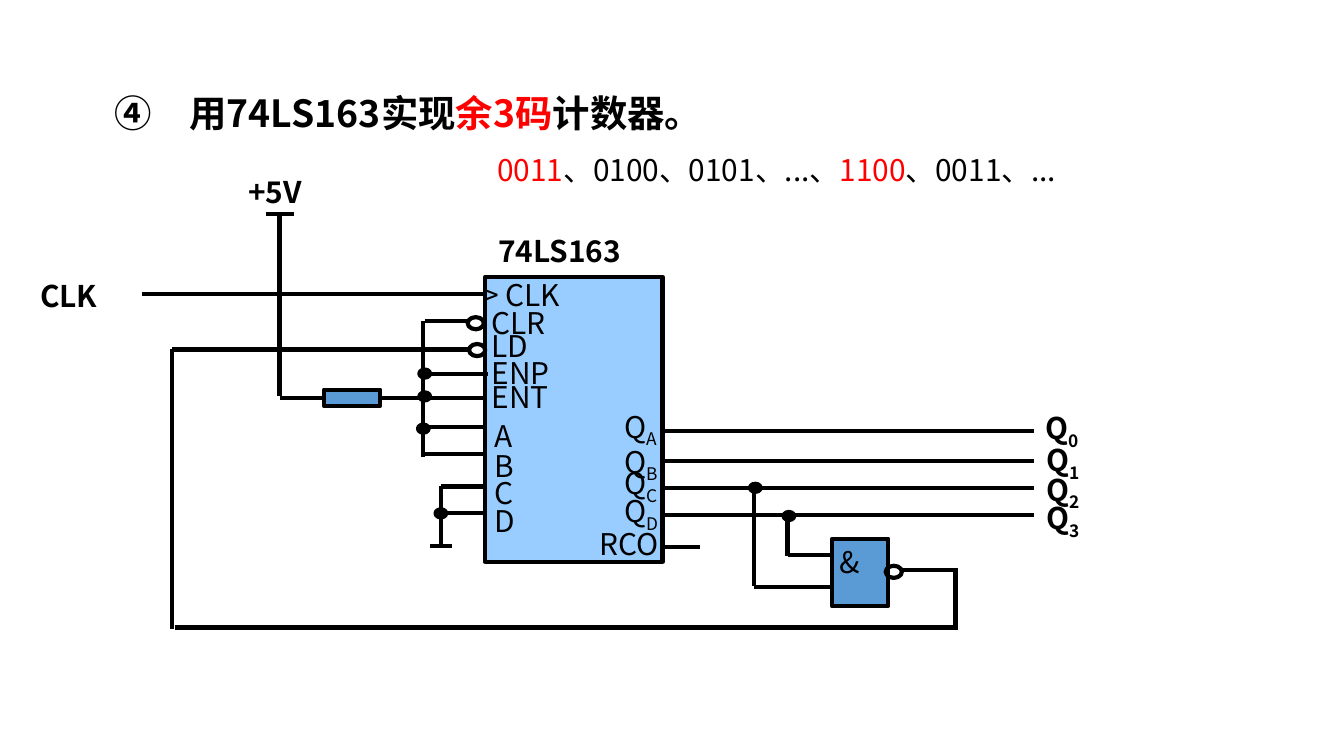
from lxml import etree
from pptx import Presentation
from pptx import util as u
from pptx.dml import color
from pptx.enum import shapes, text
from pptx.oxml import ns

SCALE = 9144
JP, SC = "Noto Sans CJK JP", "Noto Sans CJK SC"
BLACK, RED, BLUE, SKY = "000000", "FF0000", "5B9BD5", "99CCFF"
RECT, OVAL = shapes.MSO_SHAPE.RECTANGLE, shapes.MSO_SHAPE.OVAL


def px(*nums):
    return [u.Emu(n * SCALE) for n in nums]


def hue(code):
    return color.RGBColor.from_string(code)


def node(base, tag, **attrs):
    return etree.SubElement(base, ns.qn(tag), attrs)


def write(frame, *parts, size=16, face=SC, bold=False, sub=""):
    frame.word_wrap = True
    frame.vertical_anchor = text.MSO_ANCHOR.TOP
    para = frame.paragraphs[0]
    para.alignment = text.PP_ALIGN.LEFT
    for words, tone in parts + (((sub, BLACK),) if sub else ()):
        run = para.add_run()
        run.text = words
        run.font.size, run.font.name, run.font.bold = u.Pt(size), face, bold
        run.font.color.rgb = hue(tone)
        props = run._r.get_or_add_rPr()
        node(props, "a:ea", typeface=face)
        if sub and words == sub:
            props.set("baseline", "-25000")
    return para


def label(slide, x, y, wide, *parts, **fmt):
    box = slide.shapes.add_textbox(*px(x, y, wide, 37))
    box.text_frame.auto_size = text.MSO_AUTO_SIZE.SHAPE_TO_FIT_TEXT
    write(box.text_frame, *parts, **fmt)


def block(slide, kind, x, y, wide, high, fill=None):
    item = slide.shapes.add_shape(kind, *px(x, y, wide, high))
    item.shadow.inherit = False
    if fill:
        item.fill.solid()
        item.fill.fore_color.rgb = hue(fill)
    else:
        item.fill.background()
    item.line.color.rgb = hue(BLACK)
    item.line.width = u.Pt(2.25)
    return item


def wire(slide, *ends):
    line = slide.shapes.add_connector(shapes.MSO_CONNECTOR.STRAIGHT, *px(*ends))
    line.line.color.rgb = hue(BLACK)
    line.line.width = u.Pt(2.25)
    node(line._element.spPr, "a:effectLst")
    return line


def title(slide):
    head = slide.shapes.title
    head.left, head.top, head.width, head.height = px(75, 66, 600, 50)
    head.text_frame.auto_size = text.MSO_AUTO_SIZE.NONE
    para = write(head.text_frame, ("用74LS163实现", BLACK), ("余3码", RED),
                 ("计数器。", BLACK), size=20, face=JP, bold=True)
    para.line_spacing = 0.9
    props = para._p.get_or_add_pPr()
    indent = px(56)[0]
    props.set("marL", str(indent))
    props.set("indent", str(-indent))
    node(props, "a:buAutoNum", type="circleNumDbPlain", startAt="4")


def chip(slide):
    block(slide, RECT, 361, 206, 132, 212, SKY)
    pins = [("> CLK", 349, 201, 107), ("CLR", 356, 222, 72),
            ("LD", 356, 239, 72), ("ENP", 356, 259, 72),
            ("ENT", 356, 277, 72), ("A", 358, 306, 72),
            ("B", 358, 328, 72), ("C", 358, 348, 72),
            ("D", 358, 369, 72), ("RCO", 436, 386, 72)]
    for name, x, y, wide in pins:
        label(slide, x, y, wide, (name, BLACK))
    for sub, y in zip("ABCD", (299, 325, 341, 362)):
        label(slide, 455, y, 72, ("Q", BLACK), sub=sub)
    outs = zip((321, 343, 363, 383), (768, 769, 769, 769), (300, 324, 346, 367))
    for num, (row, x, y) in enumerate(outs):
        wire(slide, 495, row, 769, row)
        label(slide, x, y, 75, ("Q", BLACK), sub=str(num), bold=True)
    wire(slide, 495, 407, 521, 407)
    label(slide, 361, 168, 141, ("74LS163", BLACK), bold=True)


def inputs(slide):
    label(slide, 20, 202, 83, ("CLK", BLACK), bold=True)
    label(slide, 175, 124, 83, ("+5V", BLACK), bold=True)
    for ends in [(106, 219, 360, 219), (316, 239, 350, 239),
                 (128, 260, 349, 260), (313, 278, 363, 278),
                 (316, 318, 362, 318), (315, 338, 360, 338),
                 (315, 239, 315, 340), (198, 159, 219, 159),
                 (208, 158, 208, 295), (328, 362, 362, 362),
                 (328, 382, 362, 382), (328, 362, 328, 406),
                 (320, 406, 336, 406)]:
        wire(slide, *ends)
    load = block(slide, RECT, 241, 290, 42, 12, BLUE)
    wire(slide, 208, 296, 241, 296).end_connect(load, 1)
    wire(slide, 283, 296, 362, 296).begin_connect(load, 3)


def gate(slide):
    block(slide, RECT, 619, 401, 42, 50, BLUE)
    label(slide, 615, 400, 42, ("&", BLACK))
    for ends in [(586, 413, 619, 413), (561, 437, 619, 437),
                 (586, 383, 586, 414), (561, 363, 561, 436),
                 (671, 424, 713, 424), (711, 424, 711, 468),
                 (130, 467, 713, 467), (128, 260, 128, 468)]:
        wire(slide, *ends)


def main():
    deck = Presentation()
    deck.slide_width = px(1000)[0]
    deck.slide_height = deck.slide_width * 9 // 16
    slide = deck.slides.add_slide(deck.slide_layouts[5])
    title(slide)
    chip(slide)
    inputs(slide)
    gate(slide)
    for x, y in [(348, 236), (349, 256), (659, 421)]:
        block(slide, OVAL, x, y, 12, 9)
    for x, y in [(312, 275), (312, 292), (311, 316), (324, 379),
                 (558, 360), (583, 381)]:
        block(slide, OVAL, x, y, 8, 6, BLACK)
    label(slide, 360, 108, 489, ("0011", RED), ("、0100、0101、...、", BLACK),
          ("1100", RED), ("、0011、...", BLACK), face=JP)
    deck.save("out.pptx")


if __name__ == "__main__":
    main()
